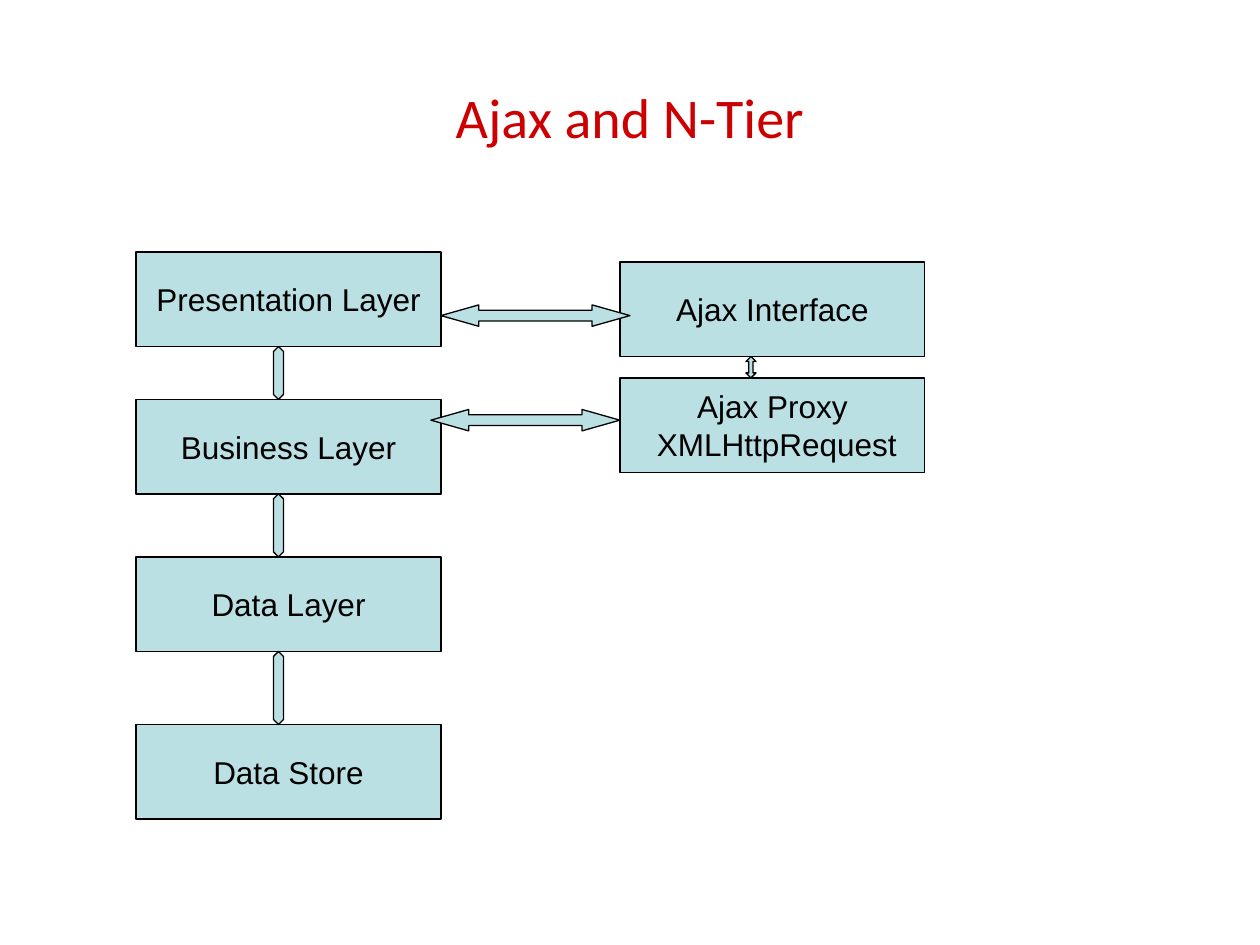
from dataclasses import dataclass

from pptx import Presentation
from pptx.dml.color import RGBColor
from pptx.enum.shapes import MSO_SHAPE
from pptx.enum.text import MSO_ANCHOR, PP_ALIGN
from pptx.util import Inches, Pt

RECTANGLE = MSO_SHAPE.RECTANGLE
VERTICAL_ARROW = MSO_SHAPE.UP_DOWN_ARROW
HORIZONTAL_ARROW = MSO_SHAPE.LEFT_RIGHT_ARROW
CENTER = PP_ALIGN.CENTER
MIDDLE = MSO_ANCHOR.MIDDLE

BLACK, RED, PALE_TEAL = "000000", "CC0000", "BBE0E3"
BOX_WIDTH, BOX_HEIGHT = 2.42, 0.75
TIER_LEFT, AJAX_LEFT = 1.08, 4.92
TIER_ARROW_LEFT, AJAX_ARROW_LEFT = 2.17, 5.92
VERTICAL_ARROW_WIDTH = 0.08
HORIZONTAL_ARROW_WIDTH, HORIZONTAL_ARROW_HEIGHT = 1.5, 0.17
HEAD_SHARE = 0.2  # arrowhead length as a share of the whole arrow


@dataclass
class Box:
    top: float
    lines: tuple[str, ...]


@dataclass
class Column:
    left: float
    arrow_left: float
    boxes: tuple[Box, ...]


COLUMNS = (
    Column(TIER_LEFT, TIER_ARROW_LEFT, (
        Box(2, ("Presentation Layer",)),
        Box(3.17, ("Business Layer",)),
        Box(4.42, ("Data Layer",)),
        Box(5.75, ("Data Store",)),
    )),
    Column(AJAX_LEFT, AJAX_ARROW_LEFT, (
        Box(2.08, ("Ajax Interface",)),
        Box(3, ("Ajax Proxy", " XMLHttpRequest")),
    )),
)
# Left and top of the arrows that join the two columns
CROSS_ARROWS = ((3.42, 3.25), (3.5, 2.42))


def color(hex_value: str) -> RGBColor:
    return RGBColor.from_string(hex_value)


def add_run(paragraph, text: str, font_name: str, size: float, hex_value: str) -> None:
    paragraph.alignment = CENTER
    run = paragraph.add_run()
    run.text = text
    run.font.name = font_name
    run.font.size = Pt(size)
    run.font.color.rgb = color(hex_value)


def add_outlined_shape(slide, kind, left: float, top: float, width: float, height: float):
    shape = slide.shapes.add_shape(
        kind, Inches(left), Inches(top), Inches(width), Inches(height))
    shape.shadow.inherit = False
    shape.fill.solid()
    shape.fill.fore_color.rgb = color(PALE_TEAL)
    shape.line.color.rgb = color(BLACK)
    shape.line.width = Pt(0.75)
    return shape


def add_box(slide, left: float, box: Box) -> None:
    shape = add_outlined_shape(slide, RECTANGLE, left, box.top, BOX_WIDTH, BOX_HEIGHT)
    frame = shape.text_frame
    frame.word_wrap = False
    frame.vertical_anchor = MIDDLE
    for index, line in enumerate(box.lines):
        paragraph = frame.add_paragraph() if index else frame.paragraphs[0]
        add_run(paragraph, line, "Arial", 18, BLACK)


def add_arrow(slide, kind, left: float, top: float, width: float, height: float) -> None:
    arrow = add_outlined_shape(slide, kind, left, top, width, height)
    arrow.adjustments[0] = 0.5
    arrow.adjustments[1] = HEAD_SHARE * max(width, height) / min(width, height)


def add_title(slide) -> None:
    title = slide.shapes.title
    title.left, title.top = Inches(0.5), Inches(0.3)
    title.width, title.height = Inches(9), Inches(1.25)
    title.text_frame.vertical_anchor = MIDDLE
    add_run(title.text_frame.paragraphs[0], "Ajax and N-Tier", "Calibri", 32, RED)


def main() -> None:
    presentation = Presentation()
    presentation.slide_width, presentation.slide_height = Inches(10), Inches(7.5)
    slide = presentation.slides.add_slide(presentation.slide_layouts[5])
    add_title(slide)

    # Layers
    for column in COLUMNS:
        for box in column.boxes:
            add_box(slide, column.left, box)

    # Arrows filling the gaps within each column
    for column in COLUMNS:
        for upper, lower in zip(column.boxes, column.boxes[1:]):
            top = upper.top + BOX_HEIGHT
            add_arrow(slide, VERTICAL_ARROW, column.arrow_left, top,
                      VERTICAL_ARROW_WIDTH, lower.top - top)

    # Arrows between the columns
    for left, top in CROSS_ARROWS:
        add_arrow(slide, HORIZONTAL_ARROW, left, top,
                  HORIZONTAL_ARROW_WIDTH, HORIZONTAL_ARROW_HEIGHT)

    presentation.save("out.pptx")


if __name__ == "__main__":
    main()
